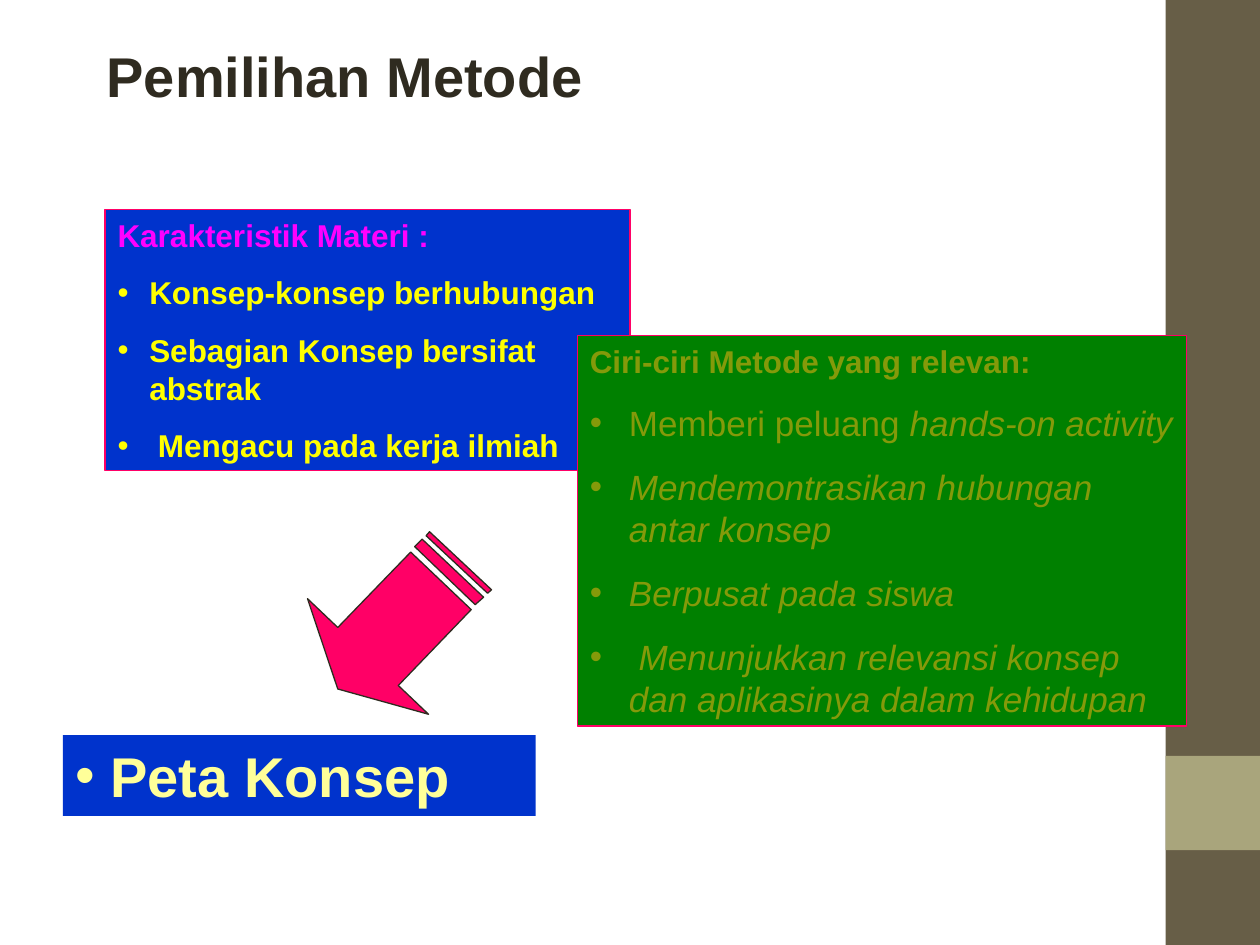
from lxml import etree
from pptx import Presentation
from pptx.dml.color import RGBColor
from pptx.enum.shapes import MSO_SHAPE
from pptx.enum.text import MSO_ANCHOR, MSO_AUTO_SIZE, PP_ALIGN
from pptx.oxml.ns import qn
from pptx.util import Cm, Pt

RECTANGLE = MSO_SHAPE.RECTANGLE
TOP = MSO_ANCHOR.TOP
LEFT = PP_ALIGN.LEFT
GROW = MSO_AUTO_SIZE.SHAPE_TO_FIT_TEXT

BROWN = RGBColor(0x67, 0x5E, 0x47)
SAGE = RGBColor(0xA9, 0xA5, 0x7C)
DARK = RGBColor(0x2F, 0x2B, 0x20)
BLUE = RGBColor(0x00, 0x33, 0xCC)
GREEN = RGBColor(0x00, 0x80, 0x00)
PINK = RGBColor(0xFF, 0x00, 0x66)
MAGENTA = RGBColor(0xFF, 0x00, 0xFF)
YELLOW = RGBColor(0xFF, 0xFF, 0x00)
PALE_YELLOW = RGBColor(0xFF, 0xFF, 0x99)
OLIVE = RGBColor(0x84, 0x9A, 0x0A)


class SlideWriter:
    font_name = "Arial"
    line_width = Pt(0.75)

    def __init__(self, slide):
        self.slide = slide

    def paint(self, shape, fill, line):
        shape.shadow.inherit = False
        shape.fill.solid()
        shape.fill.fore_color.rgb = fill
        if line is None:
            shape.line.fill.background()
        else:
            shape.line.color.rgb = line
            shape.line.width = self.line_width

    def prepare(self, frame):
        frame.word_wrap = True
        frame.auto_size = GROW
        frame.vertical_anchor = TOP
        return frame

    def panel(self, left, top, width, height, fill, line=None):
        shape = self.slide.shapes.add_shape(
            RECTANGLE, Cm(left), Cm(top), Cm(width), Cm(height))
        self.paint(shape, fill, line)
        return shape

    def text_panel(self, *place, **colors):
        return self.prepare(self.panel(*place, **colors).text_frame)

    def text_box(self, left, top, width, height):
        box = self.slide.shapes.add_textbox(
            Cm(left), Cm(top), Cm(width), Cm(height))
        return self.prepare(box.text_frame)

    def paragraph(self, frame, text, size, color, bold=True, indent=0,
                  bullet=False, italic=False):
        """Fill the frame's empty first paragraph, or add a spaced one."""
        paragraph = frame.paragraphs[0]
        if paragraph.runs:
            paragraph = frame.add_paragraph()
            paragraph.space_before = Pt(size * 0.625)
        paragraph.alignment = LEFT
        properties = paragraph._p.get_or_add_pPr()
        properties.set("marL", str(Cm(indent)))
        properties.set("indent", str(-Cm(indent)))
        if bullet:
            bullet_color = etree.SubElement(properties, qn("a:buClr"))
            etree.SubElement(bullet_color, qn("a:srgbClr"), val=str(color))
            etree.SubElement(properties, qn("a:buFont"), typeface=self.font_name)
            etree.SubElement(properties, qn("a:buChar"), char="•")
        paragraph.add_run().text = text
        font = paragraph.font
        font.name, font.size, font.bold = self.font_name, Pt(size), bold
        font.color.rgb = color
        if italic:
            font.italic = True
        return paragraph

    def outline(self, contours, fill, line):
        """Draw closed contours, given in centimetres, as one shape."""
        contours = [[(Cm(x), Cm(y)) for x, y in points] for points in contours]
        builder = self.slide.shapes.build_freeform(*contours[0][0])
        for number, (start, *rest) in enumerate(contours):
            if number:
                builder.move_to(*start)
            builder.add_line_segments(rest, close=True)
        self.paint(builder.convert_to_shape(), fill, line)


def main():
    deck = Presentation()
    deck.slide_width, deck.slide_height = Cm(25.4), Cm(19.05)
    writer = SlideWriter(deck.slides.add_slide(deck.slide_layouts[6]))

    # Side band
    writer.panel(23.5, 0, 1.9, 19.05, BROWN)
    writer.panel(23.5, 15.24, 1.9, 1.9, SAGE)

    # Title
    title = writer.text_box(1.9, 0.71, 11.2, 1.63)
    writer.paragraph(title, "Pemilihan Metode", 32, DARK)

    # Characteristics of the material
    material = writer.text_panel(2.12, 4.23, 10.58, 5.26, fill=BLUE, line=PINK)
    writer.paragraph(material, "Karakteristik Materi :", 18, MAGENTA, indent=0.64)
    for trait in ("Konsep-konsep berhubungan",
                  "Sebagian Konsep bersifat abstrak",
                  " Mengacu pada kerja ilmiah"):
        writer.paragraph(material, trait, 18, YELLOW, indent=0.64, bullet=True)

    # Features of the relevant method
    method = writer.text_panel(11.64, 6.77, 12.28, 7.87, fill=GREEN, line=PINK)
    writer.paragraph(method, "Ciri-ciri Metode yang relevan:", 18, OLIVE, indent=0.79)
    feature_style = {"bold": False, "indent": 0.79, "bullet": True}
    hands_on = writer.paragraph(method, "Memberi peluang ", 20, OLIVE, **feature_style)
    activity = hands_on.add_run()
    activity.text = "hands-on activity"
    activity.font.italic = True
    for feature in ("Mendemontrasikan hubungan antar konsep",
                    "Berpusat pada siswa",
                    " Menunjukkan relevansi konsep dan aplikasinya dalam kehidupan"):
        writer.paragraph(method, feature, 20, OLIVE, italic=True, **feature_style)

    # Chosen method
    choice = writer.text_panel(1.27, 14.82, 9.53, 1.63, fill=BLUE)
    writer.paragraph(choice, " Peta Konsep", 32, PALE_YELLOW, bullet=True)

    # Striped arrow: head with shaft, then two stripes
    writer.outline([
        [(8.64, 14.4), (8.03, 13.82), (9.5, 12.29), (8.28, 11.13),
         (6.81, 12.65), (6.2, 12.07), (6.81, 13.89)],
        [(9.75, 12.04), (8.51, 10.87), (8.36, 11.02), (9.58, 12.19)],
        [(9.91, 11.89), (8.66, 10.72), (8.59, 10.8), (9.83, 11.96)],
    ], PINK, DARK)

    deck.save("out.pptx")


if __name__ == "__main__":
    main()
